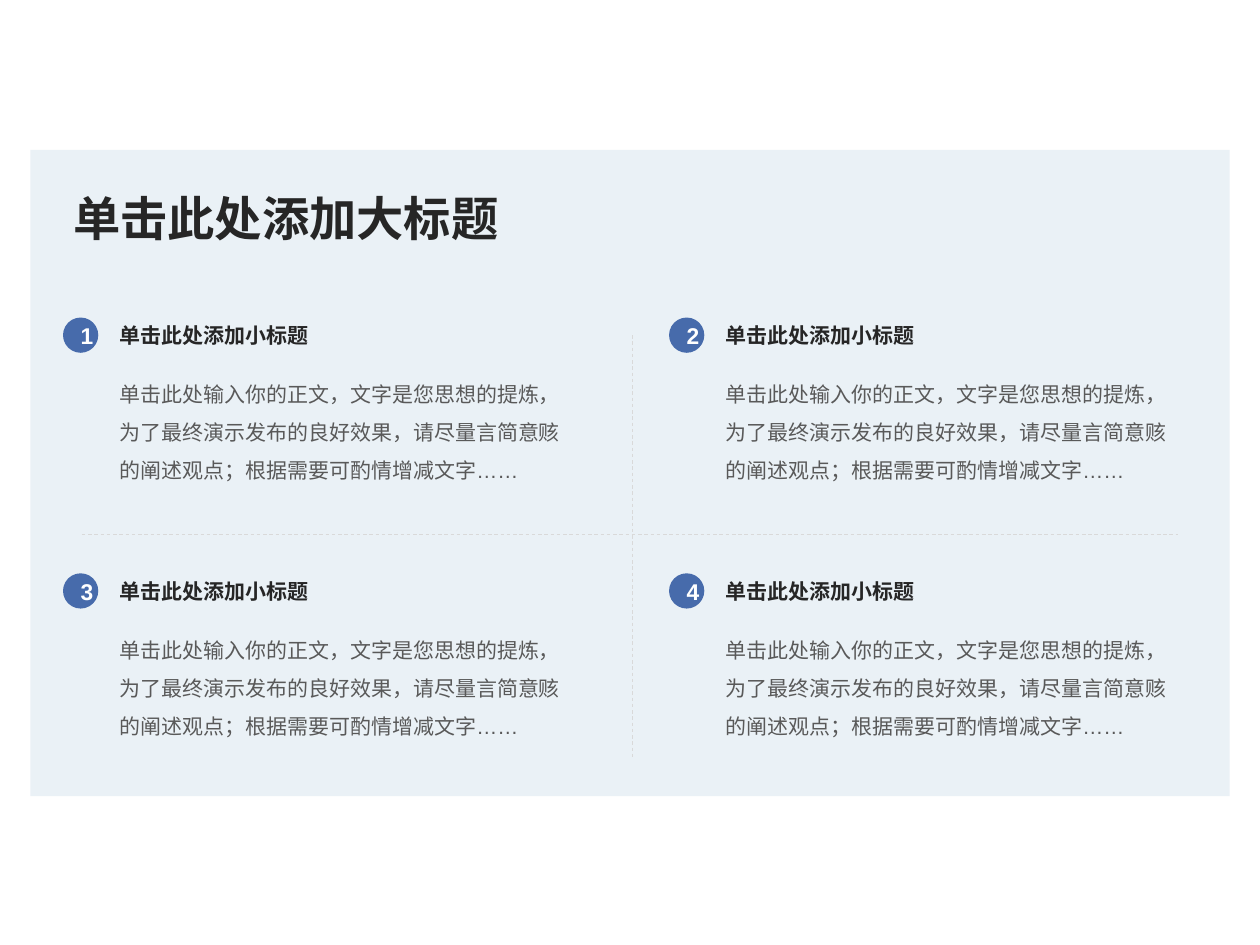
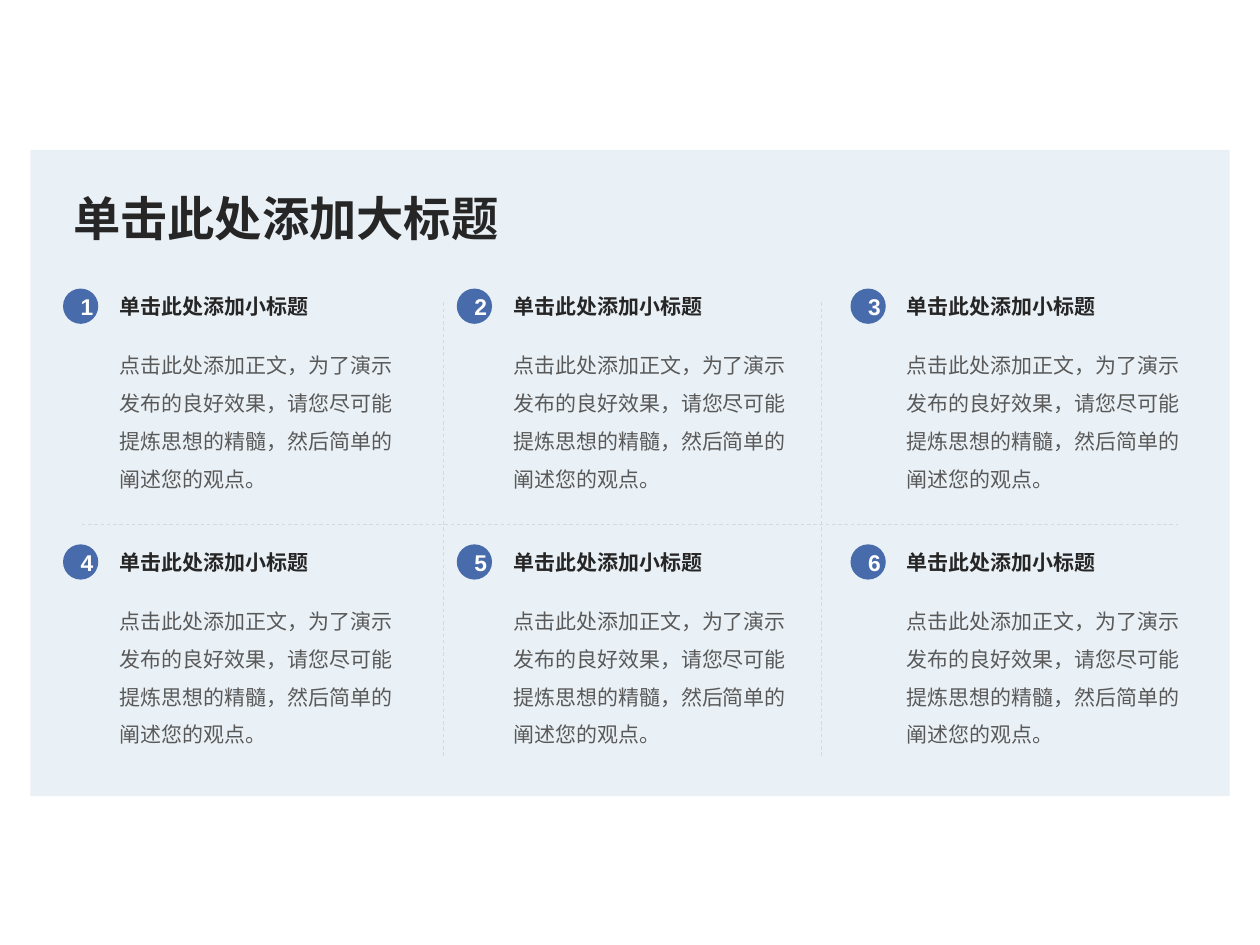
from collections import namedtuple
from dataclasses import dataclass

from lxml import etree
from pptx import Presentation
from pptx import util as u
from pptx.dml.color import RGBColor
from pptx.enum import dml, shapes, text
from pptx.oxml.ns import qn

Box = namedtuple("Box", "x y w h")


@dataclass(frozen=True)
class Theme:
    """Colours, font and type sizes of the deck."""
    font: str = "Arial"
    panel: str = "EAF1F6"
    badge: str = "476BAB"
    rule: str = "D9D9D9"
    ink: str = "262626"
    grey: str = "595959"
    white: str = "FFFFFF"
    title: float = 27
    head: float = 12
    body: float = 12
    digit: float = 13


THEME = Theme()
PANEL = Box(0.24, 1.19, 9.52, 5.13)
TITLE = "单击此处添加大标题"
HEAD = "单击此处添加小标题"
LONG = ("单击此处输入你的正文，文字是您思想的提炼，为了最终演示发布的良好效果，"
        "请尽量言简意赅的阐述观点；根据需要可酌情增减文字……")
SHORT = ("点击此处添加正文，为了演示发布的良好效果，请您尽可能提炼思想的精髓，"
         "然后简单的阐述您的观点。")


def rgb(code):
    """Turn a hex code into a colour."""
    return RGBColor.from_string(code)


def inches(*sizes):
    """Turn numbers into lengths."""
    return [u.Inches(size) for size in sizes]


def write(frame, words, size, tint, bold=False, space=None):
    """Put one run of text into a frame and return its paragraph."""
    frame.word_wrap = True
    para = frame.paragraphs[0]
    if space:
        para.line_spacing = space
    run = para.add_run()
    run.text = words
    font = run.font
    font.name, font.size, font.bold = THEME.font, u.Pt(size), bold
    font.color.rgb = rgb(tint)
    face = etree.SubElement(font._element, qn("a:ea"))
    face.set("typeface", THEME.font)
    return para


def label(slide, box, *style, **extra):
    """Add a text box and return its frame."""
    frame = slide.shapes.add_textbox(*inches(*box)).text_frame
    write(frame, *style, **extra)
    return frame


def solid(slide, kind, box, tint):
    """Add a flat shape without outline."""
    shape = slide.shapes.add_shape(kind, *inches(*box))
    shape.shadow.inherit = False
    shape.fill.solid()
    shape.fill.fore_color.rgb = rgb(tint)
    shape.line.fill.background()
    return shape


def rule(slide, *ends):
    """Draw a thin dashed divider."""
    line = slide.shapes.add_connector(shapes.MSO_CONNECTOR.STRAIGHT, *inches(*ends))
    line.line.color.rgb = rgb(THEME.rule)
    line.line.width = u.Pt(0.5)
    line.line.dash_style = dml.MSO_LINE.DASH
    etree.SubElement(line._element.spPr, qn("a:effectLst"))


def title(slide, box):
    """Write the slide title inside its band."""
    frame = label(slide, box, TITLE, THEME.title, THEME.ink, bold=True)
    frame.vertical_anchor = text.MSO_ANCHOR.MIDDLE
    frame.margin_left = frame.margin_right = u.Inches(0.08)
    frame.margin_top = frame.margin_bottom = u.Inches(0.04)


def item(slide, box, num, words):
    """Place a numbered badge, its heading and its body in a cell."""
    left, wide = box.x + 0.35, box.w - 0.35
    label(slide, Box(left, box.y + 0.37, wide, box.h - 0.37),
          words, THEME.body, THEME.grey, space=1.5)
    label(slide, Box(left, box.y, wide, 0.33),
          HEAD, THEME.head, THEME.ink, bold=True)
    badge = solid(slide, shapes.MSO_SHAPE.OVAL,
                  Box(box.x, box.y + 0.01, 0.28, 0.28), THEME.badge)
    badge.text_frame.vertical_anchor = text.MSO_ANCHOR.MIDDLE
    para = write(badge.text_frame, str(num), THEME.digit, THEME.white, bold=True)
    para.alignment = text.PP_ALIGN.CENTER


def grid(deck, words, cols, cell, step, cuts, top, mid):
    """Build a slide with two rows of numbered items and dividers."""
    slide = deck.slides.add_slide(deck.slide_layouts[6])
    solid(slide, shapes.MSO_SHAPE.RECTANGLE, PANEL, THEME.panel)
    rule(slide, 0.65, mid, 9.35, mid)
    for cut in cuts:
        rule(slide, cut, top, cut, 6.01)
    for spot in range(2 * cols):
        row, col = divmod(spot, cols)
        place = cell._replace(x=cell.x + col * step, y=cell.y + row * 2.03)
        item(slide, place, spot + 1, words)
    title(slide, Box(PANEL.x + 0.26, PANEL.y + 0.25, 9, 0.58))


def main():
    """Build and save the deck."""
    deck = Presentation()
    deck.slide_width, deck.slide_height = inches(10, 7.5)
    grid(deck, LONG, cols=2, cell=Box(0.5, 2.51, 4.18, 1.52), step=4.81,
         cuts=[5.02], top=2.66, mid=4.24)
    grid(deck, SHORT, cols=3, cell=Box(0.5, 2.28, 2.75, 1.75), step=6.25 / 2,
         cuts=[3.52, 6.52], top=2.4, mid=4.16)
    deck.save("out.pptx")


if __name__ == "__main__":
    main()
